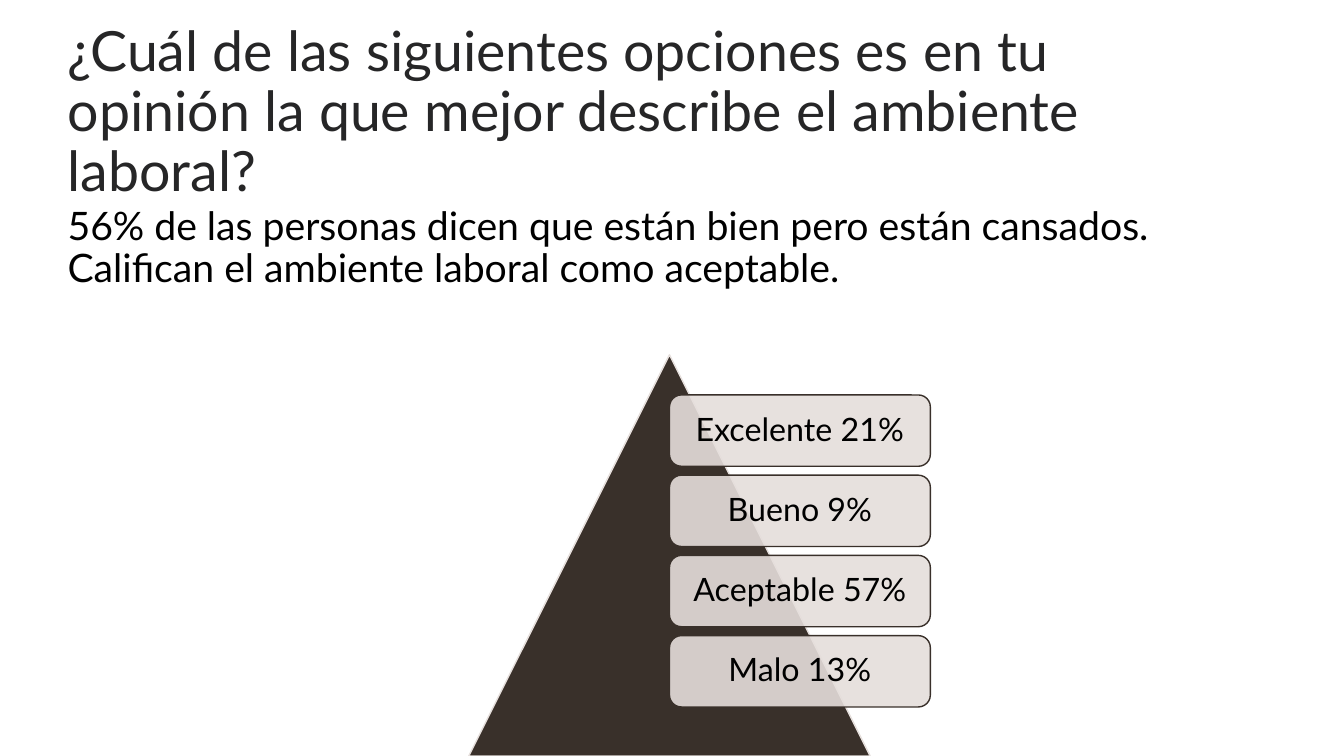
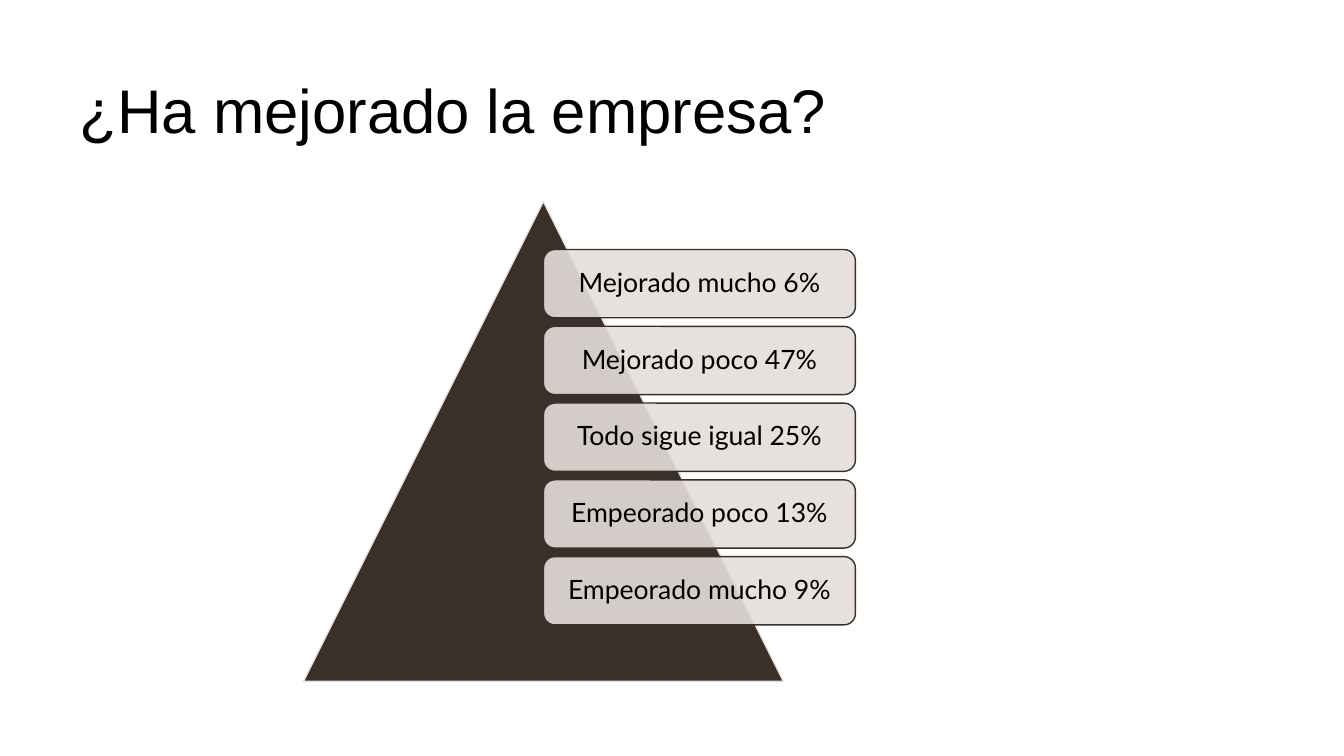
from dataclasses import dataclass

from lxml import etree
from pptx import Presentation
from pptx.dml.color import RGBColor
from pptx.enum import shapes, text
from pptx.oxml.ns import qn
from pptx.util import Inches, Pt


@dataclass(frozen=True)
class Theme:
    dark: str = "39302A"
    pale: str = "E5DEDB"
    ink: str = "000000"
    soft: str = "262627"
    font: str = "Lato"
    plain: str = "Arial"
    head: float = 44
    long: float = 39.6
    body: float = 28


@dataclass(frozen=True)
class Area:
    left: float
    top: float
    width: float
    height: float

    def emu(self) -> tuple:
        return tuple(Inches(n) for n in (self.left, self.top, self.width, self.height))


@dataclass(frozen=True)
class Pyramid:
    left: float
    top: float
    side: float
    size: float
    inset: float
    labels: tuple[str, ...]


THEME = Theme()


def color(code: str) -> RGBColor:
    return RGBColor.from_string(code)


def write(shape, words: str, *, size: float, font: str = THEME.font,
          ink: str = THEME.ink, align=text.PP_ALIGN.LEFT,
          anchor=text.MSO_ANCHOR.MIDDLE) -> None:
    frame = shape.text_frame
    frame.word_wrap = True
    frame.auto_size = text.MSO_AUTO_SIZE.NONE
    frame.vertical_anchor = anchor
    para = frame.paragraphs[0]
    para.alignment = align
    para.line_spacing = 0.9
    para.space_before = Pt(0)
    run = para.add_run()
    run.text = words
    run.font.name = font
    run.font.size = Pt(size)
    run.font.color.rgb = color(ink)


def place(shape, area: Area) -> None:
    shape.left, shape.top, shape.width, shape.height = area.emu()


def unlist(shape) -> None:
    """Remove the bullet and its hanging indent."""
    props = shape.text_frame.paragraphs[0]._p.get_or_add_pPr()
    props.set("marL", "0")
    props.set("indent", "0")
    etree.SubElement(props, qn("a:buNone"))


def draw(slide, kind, area: Area, fill: str, line: str):
    shape = slide.shapes.add_shape(kind, *area.emu())
    shape.shadow.inherit = False
    shape.fill.solid()
    shape.fill.fore_color.rgb = color(fill)
    shape.line.color.rgb = color(line)
    shape.line.width = Pt(1)
    return shape


def fade(shape, share: int) -> None:
    """Set the opacity of a solid fill, in percent."""
    tone = shape._element.spPr.find(qn("a:solidFill"))[0]
    etree.SubElement(tone, qn("a:alpha")).set("val", str(share * 1000))


def build(slide, pyr: Pyramid) -> None:
    """Draw a triangle with labels stacked right of its apex, in 80% of its height."""
    kinds = shapes.MSO_SHAPE
    draw(slide, kinds.ISOSCELES_TRIANGLE,
         Area(pyr.left, pyr.top, pyr.side, pyr.side), THEME.dark, THEME.pale)
    step = 0.8 * pyr.side / len(pyr.labels)
    for i, label in enumerate(pyr.labels):
        area = Area(pyr.left + pyr.side / 2, pyr.top + 0.1 * pyr.side + i * step,
                    0.65 * pyr.side, step * 8 / 9)
        box = draw(slide, kinds.ROUNDED_RECTANGLE, area, THEME.pale, THEME.dark)
        fade(box, 90)
        frame = box.text_frame
        frame.margin_left = frame.margin_right = Inches(pyr.inset)
        frame.margin_top = frame.margin_bottom = Inches(pyr.inset)
        write(box, label, size=pyr.size, align=text.PP_ALIGN.CENTER)


def climate(deck) -> None:
    slide = deck.slides.add_slide(deck.slide_layouts[1])
    title, body = slide.shapes.title, slide.placeholders[1]
    place(title, Area(0.57, 0.4, 10.93, 1.45))
    write(title, "¿Cuál de las siguientes opciones es en tu opinión la que mejor "
          "describe el ambiente laboral?", size=THEME.long, ink=THEME.soft)
    place(body, Area(0.57, 2, 10.93, 1.12))
    write(body, "56% de las personas dicen que están bien pero están cansados. "
          "Califican el ambiente laboral como aceptable.",
          size=THEME.body, anchor=text.MSO_ANCHOR.TOP)
    unlist(body)
    build(slide, Pyramid(4.65, 3.52, 3.98, 23, 0.13, (
        "Excelente 21%", "Bueno 9%", "Aceptable 57%", "Malo 13%")))


def change(deck) -> None:
    slide = deck.slides.add_slide(deck.slide_layouts[5])
    title = slide.shapes.title
    place(title, Area(0.69, 0.4, 10.81, 1.45))
    write(title, "¿Ha mejorado la empresa?", size=THEME.head, font=THEME.plain)
    build(slide, Pyramid(3.01, 2, 4.76, 19, 0.11, (
        "Mejorado mucho 6%", "Mejorado poco 47%", "Todo sigue igual 25%",
        "Empeorado poco 13%", "Empeorado mucho 9%")))


def main() -> None:
    deck = Presentation()
    deck.slide_width, deck.slide_height = Inches(13.33), Inches(7.5)
    climate(deck)
    change(deck)
    deck.save("out.pptx")


if __name__ == "__main__":
    main()
